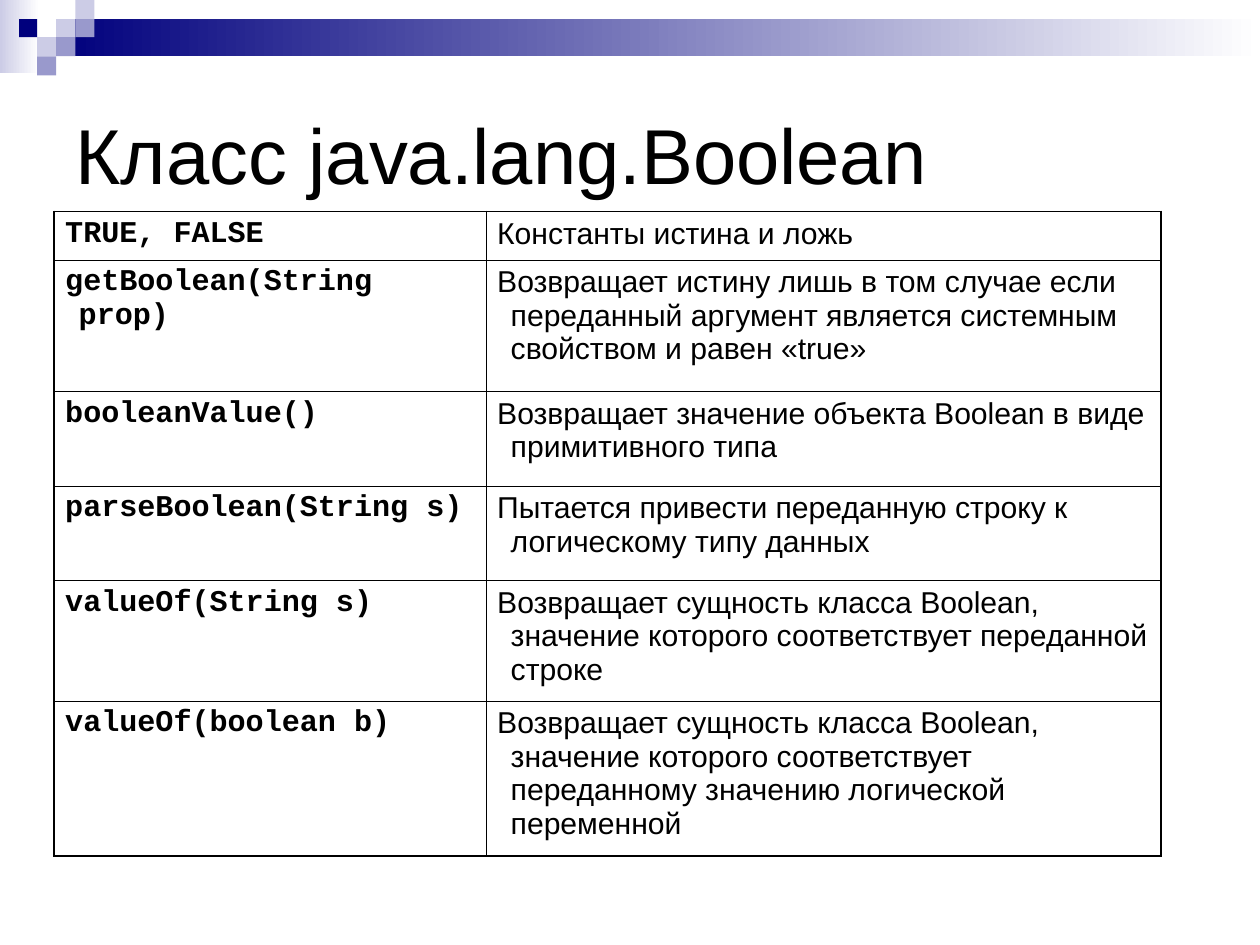
from lxml import etree
from pptx import Presentation
from pptx import util as u
from pptx.dml import color
from pptx.enum import shapes, text
from pptx.oxml import ns

PX = 9000


def rgb(code):
    return color.RGBColor.from_string(code)


def rect(x, y, w, h, first, last=None):
    box = slide.shapes.add_shape(shapes.MSO_SHAPE.RECTANGLE, x * PX, y * PX, w * PX, h * PX)
    box.shadow.inherit = False
    box.line.fill.background()
    if last:
        box.fill.gradient()
        box.fill.gradient_angle = 0
        for stop, code in zip(box.fill.gradient_stops, (first, last)):
            stop.color.rgb = rgb(code)
    else:
        box.fill.solid()
        box.fill.fore_color.rgb = rgb(first)


prs = Presentation()
prs.slide_width, prs.slide_height = 1120 * PX, 840 * PX
slide = prs.slides.add_slide(prs.slide_layouts[5])

NAVY, MID, PALE = "00007D", "9999CC", "CCCCE6"
rect(0, 0, 35, 65, PALE, "FFFFFF")
rect(51, 17, 1069, 33, NAVY, "FFFFFF")
edges = [0, 17, 33, 50, 67, 84]
tiles = [(3, 1, PALE), (4, 0, PALE), (4, 1, MID), (2, 2, PALE),
         (1, 1, NAVY), (3, 2, MID), (2, 3, MID)]
for col, row, code in tiles:
    x, y = edges[col], edges[row]
    rect(x, y, edges[col + 1] - x, edges[row + 1] - y, code)

title = slide.shapes.title
title.left, title.top, title.width, title.height = 56 * PX, 98 * PX, 1008 * PX, 85 * PX
frame = title.text_frame
frame.text = "Класс java.lang.Boolean"
frame.word_wrap = True
frame.auto_size = text.MSO_AUTO_SIZE.NONE
frame.vertical_anchor = text.MSO_ANCHOR.MIDDLE
frame.margin_left = frame.margin_right = 11 * PX
frame.margin_top = frame.margin_bottom = 6 * PX
para = frame.paragraphs[0]
para.alignment = text.PP_ALIGN.LEFT
para.line_spacing = 0.95
para.font.name, para.font.size = "Arial", u.Pt(49)
para.font.color.rgb = rgb("000000")

rows = [
    (43, "TRUE, FALSE", "Константы истина и ложь"),
    (117, "getBoolean(String prop)",
     "Возвращает истину лишь в том случае если переданный аргумент "
     "является системным свойством и равен «true»"),
    (84, "booleanValue()", "Возвращает значение объекта Boolean в виде примитивного типа"),
    (84, "parseBoolean(String s)",
     "Пытается привести переданную строку к логическому типу данных"),
    (107, "valueOf(String s)",
     "Возвращает сущность класса Boolean, значение которого "
     "соответствует переданной строке"),
    (138, "valueOf(boolean b)",
     "Возвращает сущность класса Boolean, значение которого "
     "соответствует переданному значению логической переменной"),
]
table = slide.shapes.add_table(len(rows), 2, 48 * PX, 188 * PX, 984 * PX, 573 * PX).table
table.first_row = table.horz_banding = False
table.columns[0].width, table.columns[1].width = 384 * PX, 600 * PX

for r, (high, *words) in enumerate(rows):
    table.rows[r].height = high * PX
    for c, word in enumerate(words):
        cell = table.cell(r, c)
        cell.margin_left = cell.margin_right = 10 * PX
        cell.margin_top = cell.margin_bottom = 5 * PX
        props = cell._tc.get_or_add_tcPr()
        outer = {"L": c == 0, "R": c == 1, "T": r == 0, "B": r == len(rows) - 1}
        for side, edge in outer.items():
            line = etree.SubElement(props, ns.qn("a:ln" + side), w=str(u.Pt(1.08 if edge else 0.45)))
            fill = etree.SubElement(line, ns.qn("a:solidFill"))
            etree.SubElement(fill, ns.qn("a:srgbClr"), val="000000")
        cell.fill.solid()
        cell.fill.fore_color.rgb = rgb("FFFFFF")
        cell.text = word
        para = cell.text_frame.paragraphs[0]
        indent = para._p.get_or_add_pPr()
        indent.set("marL", str(12 * PX))
        indent.set("indent", str(-12 * PX))
        para.font.name = ("Courier New", "Arial")[c]
        para.font.size = u.Pt(19)
        para.font.bold = c == 0
        para.font.color.rgb = rgb("000000")

prs.save("out.pptx")
